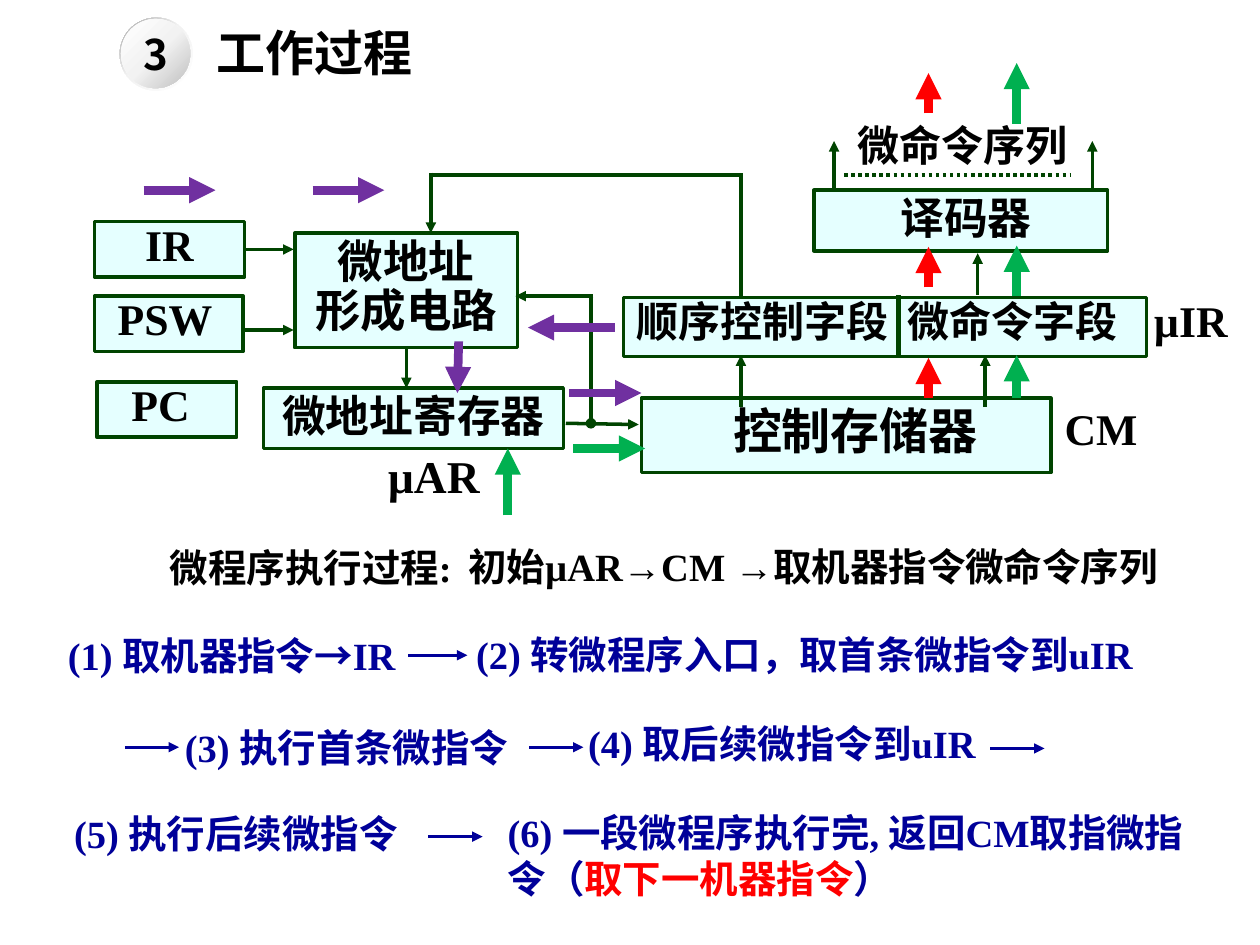
from copy import deepcopy

from lxml.etree import SubElement
from pptx import Presentation
from pptx.dml.color import RGBColor
from pptx.enum.dml import MSO_LINE
from pptx.enum.shapes import MSO_CONNECTOR, MSO_SHAPE
from pptx.enum.text import MSO_ANCHOR, PP_ALIGN
from pptx.oxml.ns import qn
from pptx.util import Pt

LATIN, CHINESE = "Times New Roman", "Noto Sans CJK SC"
BLACK, NAVY, RED = "000000", "000099", "FF0000"
DARK, PALE, GREEN, PURPLE = "004400", "E5FFFF", "00B050", "7030A0"
LEFT, CENTER = PP_ALIGN.LEFT, PP_ALIGN.CENTER

# name: (left, top, width, height), lines, size, alignment, line spacing, extra left inset
BLOCKS = {
    "circuit": ((168.5, 133.2, 127.4, 65.5), ["微地址", "形成电路"], 26, CENTER, 0.9, 0),
    "PC": ((55.4, 218.2, 79.9, 31.7), ["PC"], 25, LEFT, 0.8, 12.5),
    "register": ((150.5, 221.8, 171.4, 34.6), ["微地址寄存器"], 25, CENTER, 0.9, 0),
    "decoder": ((465.1, 108.7, 167.8, 34.6), ["译码器"], 25, CENTER, 0.9, 6),
    "IR": ((54, 126.7, 85.7, 31.7), ["IR"], 25, CENTER, 0.8, 0),
    "PSW": ((54, 169.2, 85, 31.7), ["PSW"], 25, LEFT, 0.8, 6),
    "fields": ((356.4, 169.9, 298.8, 33.8), ["顺序控制字段\t微命令字段"], 24, LEFT, 0.85, 0),
    "store": ((366.5, 227.5, 234, 42.5), [], 28, CENTER, 1, 0),
}
FIELD_TAB = 155

# (left, top, width, height), size, colour, spans
LABELS = [
    ((116.6, 9.4, 129, 41), 28, BLACK, ["工作过程"]),
    ((214.5, 252.7, 90, 38), 26, BLACK, ["µAR"]),
    ((601.2, 226.1, 63.4, 37.4), 25, BLACK, ["CM"]),
    ((483.1, 64.8, 142.6, 36), 24, BLACK, ["微命令序列"]),
    ((652.3, 164.2, 60, 37.4), 25, BLACK, ["µIR"]),
    ((411.8, 225.4, 164.2, 41), 28, BLACK, ["控制存储器"]),
    ((90, 307.4, 334.8, 33.8), 22, BLACK, ["微程序执行过程:"]),
    ((260.6, 306.7, 424, 33.8), 22, BLACK, ["初始µAR→CM →取机器指令微命令序列"]),
    ((31.7, 357.8, 261.4, 33.8), 22, NAVY, ["(1) 取机器指令→IR"]),
    ((265, 357.1, 415.4, 32.4), 22, NAVY, ["(2) 转微程序入口，取首条微指令到uIR"]),
    ((98.6, 410, 210, 33.8), 22, NAVY, ["(3) 执行首条微指令"]),
    ((329, 408.2, 250, 33.8), 22, NAVY, ["(4) 取后续微指令到uIR"]),
    ((35.3, 459.4, 210, 33.8), 22, NAVY, ["(5) 执行后续微指令"]),
    ((283, 458.6, 401.8, 60.5), 22, NAVY,
     ["(6) 一段微程序执行完, 返回CM取指微指令（", ("取下一机器指令", RED), "）"]),
]

# x1, y1, x2, y2, ends
WIRES = [
    (563, 232.6, 563, 203, "tail"),
    (558.7, 168.5, 558.7, 144.7, "tail"),
    (476.6, 108, 476.6, 80.6, "tail"),
    (624.2, 108, 624.2, 80.6, "tail"),
    (323.3, 241.9, 365, 242.6, "tail"),
    (337.7, 241.9, 337.7, 169.2, "head"),
    (339.1, 169.2, 294.5, 169.2, "tail"),
    (138.2, 188.6, 167.8, 188.6, "tail"),
    (246.2, 100.1, 424.8, 100.1, ""),
    (423.4, 100.1, 423.4, 169.9, ""),
    (246.2, 98.6, 246.2, 133.2, "tail"),
    (423.4, 232.6, 423.4, 203, "tail"),
]
JOINED_WIRES = [
    ("circuit", 2, (232.2, 221.8)),
    ("IR", 3, (167.8, 142.55)),
]
STEP_ARROWS = [(233.3, 374.4, 33.8), (302.4, 427, 31), (71.3, 427, 31),
               (565.9, 427.7, 31), (244.8, 478.1, 31)]
FLOWS = {
    GREEN: [(290.2, 294.5, 290.2, 256.3), (327.6, 256.3, 368.6, 256.3),
            (581, 227.5, 581, 203), (581, 169.2, 581, 140.4), (581, 70.6, 581, 36)],
    PURPLE: [(82.1, 108.7, 123.1, 108.7), (178.6, 108.7, 219.6, 108.7),
             (262.1, 195.1, 261.4, 224.6), (325.4, 224.6, 366.5, 224.6),
             (351.4, 187.2, 301.7, 187.2)],
    RED: [(530.6, 227.5, 530.6, 204.5), (530.6, 164.2, 530.6, 141.1),
          (530.6, 64.8, 530.6, 41.8)],
}
BADGE = [
    (MSO_SHAPE.DONUT, (68.4, 10.1, 41.8, 41.8), 135,
     [(0, "FFFFFF"), (55, "F2F2F2"), (100, "A6A6A6")]),
    (MSO_SHAPE.OVAL, (69.1, 10.8, 39.6, 39.6), 315,
     [(0, "FFFFFF"), (51, "F2F2F2"), (100, "BFBFBF")]),
]


def color(value):
    return RGBColor.from_string(value)


def points(values):
    return [Pt(value) for value in values]


def add_span(para, text, size, ink, latin=LATIN):
    span = para.add_run()
    span.text = text
    for name, value in {"size": Pt(size), "bold": True, "name": latin}.items():
        setattr(span.font, name, value)
    span.font.color.rgb = color(ink)
    SubElement(span.font._element, qn("a:ea"), typeface=CHINESE)


def add_shape(page, kind, place):
    shape = page.shapes.add_shape(kind, *points(place))
    shape.shadow.inherit = False
    return shape


def add_block(page, place, lines, size, alignment, spacing, inset):
    box = add_shape(page, MSO_SHAPE.RECTANGLE, place)
    box.fill.solid()
    box.fill.fore_color.rgb = color(PALE)
    box.line.color.rgb = color(DARK)
    box.line.width = Pt(2)
    frame = box.text_frame
    settings = {"word_wrap": True, "vertical_anchor": MSO_ANCHOR.TOP,
                "margin_left": Pt(7.2 + inset)}
    for name, value in settings.items():
        setattr(frame, name, value)
    for index, text in enumerate(lines):
        para = frame.add_paragraph() if index else frame.paragraphs[0]
        para.alignment = alignment
        para.line_spacing = spacing
        add_span(para, text, size, BLACK)
        if "\t" in text:
            tabs = SubElement(para._p.get_or_add_pPr(), qn("a:tabLst"))
            SubElement(tabs, qn("a:tab"), pos=str(Pt(FIELD_TAB)), algn="l")
    return box


def add_label(page, place, size, ink, spans):
    box = page.shapes.add_textbox(*points(place))
    box.text_frame.word_wrap = True
    para = box.text_frame.paragraphs[0]
    for span in spans:
        text, span_ink = (span, ink) if isinstance(span, str) else span
        add_span(para, text, size, span_ink)


def add_line(page, ends, ink, width, tip="tail", dash=None):
    line = page.shapes.add_connector(MSO_CONNECTOR.STRAIGHT, *points(ends))
    line.line.color.rgb = color(ink)
    line.line.width = Pt(width)
    if dash:
        line.line.dash_style = dash
    if tip:
        shape_type = "triangle" if tip == "tail" else "oval"
        SubElement(line.line._get_or_add_ln(), qn(f"a:{tip}End"), type=shape_type)
    SubElement(line._element.spPr, qn("a:effectLst"))
    return line


def add_badge_part(page, kind, place, angle, stops):
    part = add_shape(page, kind, place)
    part.line.fill.background()
    part.fill.gradient()
    part.fill.gradient_angle = angle
    stop_list = part._element.spPr.find(".//" + qn("a:gsLst"))
    stop_list.insert(1, deepcopy(stop_list[0]))
    for stop, (position, ink) in zip(part.fill.gradient_stops, stops):
        stop.position = position / 100
        stop.color.rgb = color(ink)
    return part


def main():
    deck = Presentation()
    deck.slide_width, deck.slide_height = Pt(720), Pt(540)
    page = deck.slides.add_slide(deck.slide_layouts[6])

    blocks = {name: add_block(page, *block) for name, block in BLOCKS.items()}
    for *ends, tip in WIRES:
        add_line(page, ends, DARK, 2, tip)
    for name, side, end in JOINED_WIRES:
        add_line(page, (*end, *end), DARK, 2).begin_connect(blocks[name], side)
    add_line(page, (482.4, 100.1, 612, 100.1), DARK, 2, "", MSO_LINE.ROUND_DOT)
    add_line(page, (513.4, 168.5, 513.4, 204.5), DARK, 2.5, "")

    for label in LABELS:
        add_label(page, *label)
    for left, top, length in STEP_ARROWS:
        add_line(page, (left, top, left + length, top), NAVY, 1.75)
    for ink, arrows in FLOWS.items():
        for ends in arrows:
            add_line(page, ends, ink, 5)

    ring, disc = [add_badge_part(page, *part) for part in BADGE]
    ring.adjustments[0] = 0.05
    disc.text_frame.vertical_anchor = MSO_ANCHOR.MIDDLE
    para = disc.text_frame.paragraphs[0]
    para.alignment = CENTER
    add_span(para, "3", 24, BLACK, CHINESE)

    deck.save("out.pptx")


if __name__ == "__main__":
    main()
